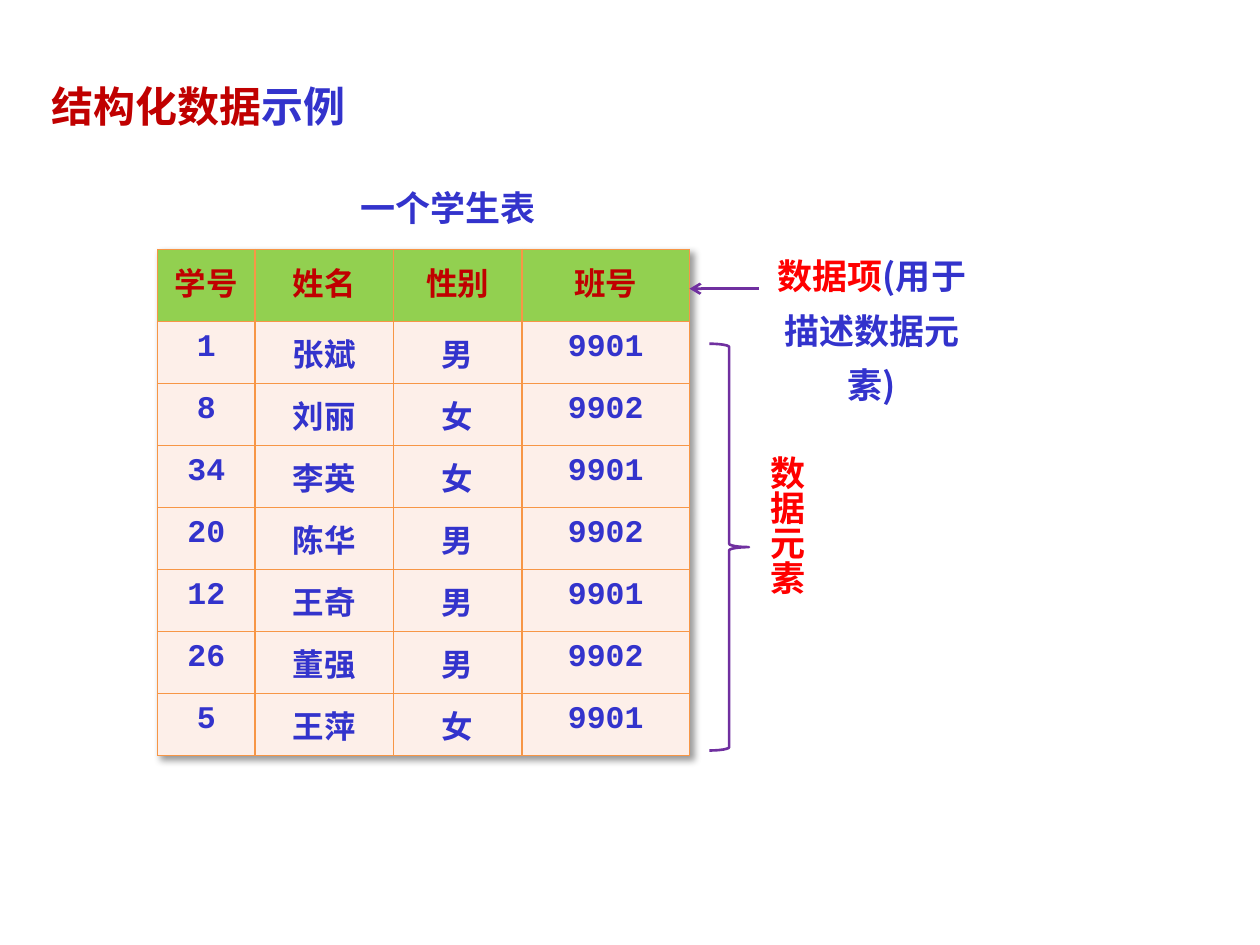
from lxml import etree
from pptx import Presentation
from pptx.dml.color import RGBColor
from pptx.enum.shapes import MSO_CONNECTOR, MSO_SHAPE
from pptx.enum.text import PP_ALIGN
from pptx.oxml.ns import qn
from pptx.util import Cm, Pt

LEFT, CENTER = PP_ALIGN.LEFT, PP_ALIGN.CENTER
BRACE, LINE = MSO_SHAPE.RIGHT_BRACE, MSO_CONNECTOR.STRAIGHT
SANS, SERIF, MONO = "Noto Sans CJK SC", "Times New Roman", "Courier New"
HUES = {"blue": "3333CC", "dark": "C00000", "red": "FF0000", "green": "92D050",
        "pale": "FDEFE9", "edge": "F79646", "purple": "7030A0", "shade": "000000"}
WIDTHS = [1.96, 2.79, 2.59, 3.38]
HEAD_H, ROW_H = 1.45, 1.25
ROWS = [
    ["学号", "姓名", "性别", "班号"],
    ["1", "张斌", "男", "9901"],
    ["8", "刘丽", "女", "9902"],
    ["34", "李英", "女", "9901"],
    ["20", "陈华", "男", "9902"],
    ["12", "王奇", "男", "9901"],
    ["26", "董强", "男", "9902"],
    ["5", "王萍", "女", "9901"],
]


def color(name):
    """Return the named colour."""
    return RGBColor.from_string(HUES[name])


def sub(node, tag, **attrs):
    """Add a drawing element with attributes."""
    return etree.SubElement(node, qn("a:" + tag), attrs)


def add_run(para, text, hue, size, face):
    """Add one bold run, with the sans face for Chinese."""
    run = para.add_run()
    run.text = text
    font = run.font
    font.size, font.bold, font.name = Pt(size), True, face
    font.color.rgb = color(hue)
    sub(font._element, "ea", typeface=SANS)


def add_text(slide, box, runs, size, face, align=CENTER, vert=None):
    """Add a text box of coloured runs."""
    frame = slide.shapes.add_textbox(*map(Cm, box)).text_frame
    frame.word_wrap = True
    if vert:
        frame._txBody.bodyPr.set("vert", vert)
    para = frame.paragraphs[0]
    para.alignment, para.line_spacing = align, 1.3
    for text, hue in runs:
        add_run(para, text, hue, size, face)


def fill_cell(cell, text, hue, back):
    """Set the text, fill and borders of a cell."""
    cell.margin_top = cell.margin_bottom = Cm(0.18)
    cell.margin_left = cell.margin_right = Cm(0.25)
    para = cell.text_frame.paragraphs[0]
    para.alignment = CENTER
    add_run(para, text, hue, 18, MONO)
    props = cell._tc.get_or_add_tcPr()
    for side in ("lnL", "lnR", "lnT", "lnB"):
        edge = sub(props, side, w=str(Pt(1)))
        sub(sub(edge, "solidFill"), "srgbClr", val=HUES["edge"])
    cell.fill.solid()
    cell.fill.fore_color.rgb = color(back)


def add_shade(table):
    """Cast a soft shadow from the table."""
    effects = etree.Element(qn("a:effectLst"))
    table._tbl.tblPr.insert(0, effects)
    shade = sub(effects, "outerShdw", blurRad=str(Pt(4)), dist=str(Pt(3)),
                dir="2700000", algn="tl", rotWithShape="0")
    sub(sub(shade, "srgbClr", val=HUES["shade"]), "alpha", val="40000")


def add_grid(slide, left, top):
    """Draw the student table with its caption above."""
    wide, high = sum(WIDTHS), HEAD_H + ROW_H * (len(ROWS) - 1)
    box = map(Cm, (left, top, wide, high))
    table = slide.shapes.add_table(len(ROWS), len(WIDTHS), *box).table
    for col, width in zip(table.columns, WIDTHS):
        col.width = Cm(width)
    for r, row in enumerate(ROWS):
        table.rows[r].height = Cm(ROW_H if r else HEAD_H)
        hue, back = ("blue", "pale") if r else ("dark", "green")
        for c, text in enumerate(row):
            fill_cell(table.cell(r, c), text, hue, back)
    add_shade(table)
    add_text(slide, (left + 2.97, top - 1.65, 5.77, 1.24),
             [("一个学生表", "blue")], 20, SERIF)


def add_notes(slide, left, top):
    """Label the header row and the data rows from the table's right edge."""
    mid = Cm(top + 0.79)
    arrow = slide.shapes.add_connector(LINE, Cm(left + 1.4), mid, Cm(left), mid)
    brace = slide.shapes.add_shape(
        BRACE, Cm(left + 0.4), Cm(top + 1.9), Cm(0.8), Cm(8.2))
    brace.shadow.inherit = False
    brace.fill.background()
    for mark in (arrow, brace):
        mark.line.color.rgb = color("purple")
        mark.line.width = Pt(1.5)
    sub(arrow.line._get_or_add_ln(), "tailEnd", type="arrow")
    sub(arrow._element.spPr, "effectLst")
    add_text(slide, (left + 1.2, top - 0.28, 4.95, 2.49),
             [("数据项", "red"), ("(用于描述数据元素)", "blue")], 20, SANS)
    add_text(slide, (left + 1.14, top + 3.91, 1.63, 3.96),
             [("数据元素", "red")], 20, SERIF, vert="eaVert")


def main():
    """Build and save the slide."""
    deck = Presentation()
    deck.slide_width, deck.slide_height = Cm(25.4), Cm(19.05)
    slide = deck.slides.add_slide(deck.slide_layouts[6])
    left, top = 3.18, 5.03
    add_text(slide, (0.79, 1.19, 8.74, 1.45),
             [("结构化数据", "dark"), ("示例", "blue")], 24, SANS, LEFT)
    add_grid(slide, left, top)
    add_notes(slide, left + sum(WIDTHS), top)
    deck.save("out.pptx")


if __name__ == "__main__":
    main()
